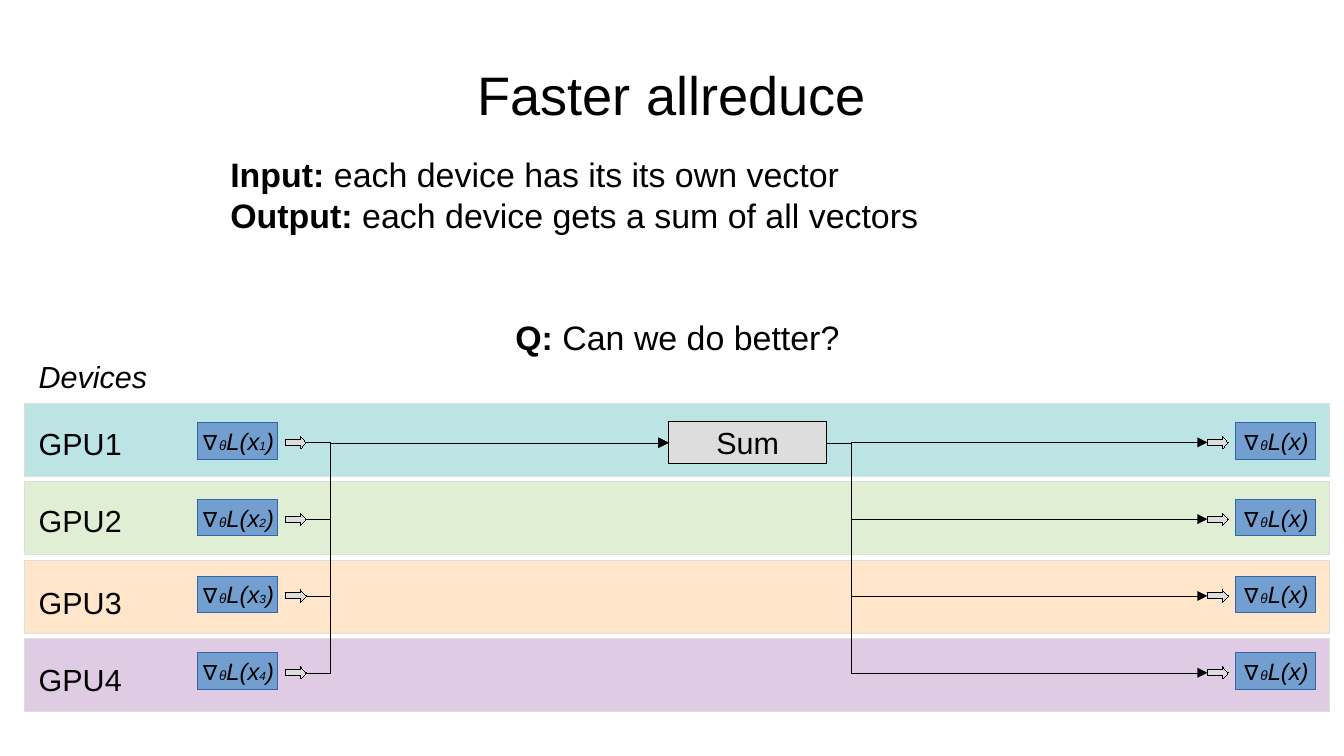
from dataclasses import dataclass

from lxml.etree import SubElement
from pptx import Presentation
from pptx.dml.color import RGBColor
from pptx.enum.shapes import MSO_CONNECTOR as Connector, MSO_SHAPE as Shape
from pptx.enum.text import MSO_ANCHOR as Anchor, PP_ALIGN as Align
from pptx.oxml.ns import qn
from pptx.util import Pt


@dataclass(frozen=True)
class Theme:
    font: str = "Arial"
    ink: str = "000000"
    gray: str = "DDDDDD"
    blue: str = "729FCF"
    blue_edge: str = "3465A4"
    lanes: tuple = ("BCE4E5", "E0EFD4", "FFE5CA", "DFCCE4")
    title: int = 32
    body: int = 20
    label: int = 18
    formula: int = 14
    theta: int = 8
    index: int = 7
    hairline: float = 0.01


THEME = Theme()
LANE_TOP, LANE_PITCH = 238.2, 46.35
LABEL_TOPS = (247.7, 293, 341.3, 386.6)
GRADIENT_TOP, ARROW_TOP, ROW_PITCH = 249.5, 257.6, 45.36
STUB = 14.4


def color(value):
    return RGBColor.from_string(value)


def add_runs(paragraph, runs, align=Align.LEFT):
    paragraph.alignment = align
    for text, size, style in runs:
        run = paragraph.add_run()
        run.text = text
        font = run.font
        font.name = THEME.font
        font.size = Pt(size)
        font.bold = style == "bold"
        font.italic = style == "italic"
        font.color.rgb = color(THEME.ink)


def add_text(slide, box, paragraphs, align=Align.LEFT, anchor=Anchor.TOP):
    shape = slide.shapes.add_textbox(*map(Pt, box))
    frame = shape.text_frame
    frame.word_wrap = True
    frame.vertical_anchor = anchor
    for number, runs in enumerate(paragraphs):
        paragraph = frame.add_paragraph() if number else frame.paragraphs[0]
        add_runs(paragraph, runs, align)
    return frame


def add_block(slide, kind, box, fill, edge, runs=()):
    shape = slide.shapes.add_shape(kind, *map(Pt, box))
    shape.shadow.inherit = False
    shape.fill.solid()
    shape.fill.fore_color.rgb = color(fill)
    shape.line.color.rgb = color(edge)
    shape.line.width = Pt(THEME.hairline)
    if runs:
        frame = shape.text_frame
        frame.word_wrap = False
        frame.vertical_anchor = Anchor.MIDDLE
        add_runs(frame.paragraphs[0], runs, Align.CENTER)
    return shape


def add_gradient(slide, left, row, index=""):
    runs = [("∇", THEME.formula, "italic"), ("θ", THEME.theta, "italic")]
    if index:
        runs += [("L(x", THEME.formula, "italic"),
                 (index, THEME.index, "italic"),
                 (")", THEME.formula, "italic")]
    else:
        runs.append(("L(x)", THEME.formula, "italic"))
    box = (left, GRADIENT_TOP + row * ROW_PITCH, 47.5, 21.6)
    add_block(slide, Shape.RECTANGLE, box, THEME.blue, THEME.blue_edge, runs)


def add_arrow(slide, left, row):
    box = (left, ARROW_TOP + row * ROW_PITCH, 12.24, 7.2)
    arrow = add_block(slide, Shape.RIGHT_ARROW, box, THEME.gray, THEME.ink)
    arrow.adjustments[1] = 0.435
    return arrow


def connect(slide, source, target):
    connector = slide.shapes.add_connector(Connector.ELBOW, 0, 0, 0, 0)
    connector.begin_connect(source, 3)
    connector.end_connect(target, 1)
    connector.line.color.rgb = color(THEME.ink)
    connector.line.width = Pt(THEME.hairline)
    properties = connector.element.spPr
    SubElement(properties.find(qn("a:ln")), qn("a:tailEnd"), type="triangle")
    SubElement(properties, qn("a:effectLst"))
    bend = round(100000 * Pt(STUB) / connector.width)
    guides = properties.find(qn("a:prstGeom")).get_or_add_avLst()
    SubElement(guides, qn("a:gd"), name="adj1", fmla=f"val {bend}")


def add_heading(slide):
    title = add_text(slide, (39.6, 18, 714.24, 74.9),
                     [[("Faster allreduce", THEME.title, "")]],
                     Align.CENTER, Anchor.MIDDLE)
    title.margin_left = title.margin_right = 0
    title.margin_top = title.margin_bottom = 0
    facts = (("Input:", " each device has its its own vector"),
             ("Output:", " each device gets a sum of all vectors"),
             ("Q: ", "Can we do better?"))
    body = add_text(slide, (128.9, 87.1, 542.2, 118.8),
                    [[(lead, THEME.body, "bold"), (rest, THEME.body, "")]
                     for lead, rest in facts])
    question = body.paragraphs[-1]
    question.alignment = Align.CENTER
    question.space_before = Pt(48)


def add_lanes(slide):
    add_text(slide, (15.8, 208, 92.2, 27.4),
             [[("Devices", THEME.label, "italic")]])
    for row, (fill, label_top) in enumerate(zip(THEME.lanes, LABEL_TOPS)):
        lane = (14.4, LANE_TOP + row * LANE_PITCH, 770.4, 43.2)
        add_block(slide, Shape.RECTANGLE, lane, fill, THEME.gray)
        add_text(slide, (15.8, label_top, 92.2, 27.4),
                 [[(f"GPU{row + 1}", THEME.label, "")]])


def add_reduction(slide):
    total = add_block(slide, Shape.RECTANGLE, (394.6, 249.2, 93.6, 24.5),
                      THEME.gray, THEME.ink, [("Sum", THEME.label, "")])
    for row in range(len(THEME.lanes)):
        add_gradient(slide, 116.6, row, str(row + 1))
        add_gradient(slide, 729.4, row)
        connect(slide, add_arrow(slide, 168.5, row), total)
        connect(slide, total, add_arrow(slide, 712.8, row))


def main():
    presentation = Presentation()
    presentation.slide_width = Pt(793.44)
    presentation.slide_height = Pt(446.4)
    slide = presentation.slides.add_slide(presentation.slide_layouts[6])
    add_heading(slide)
    add_lanes(slide)
    add_reduction(slide)
    presentation.save("out.pptx")


if __name__ == "__main__":
    main()
